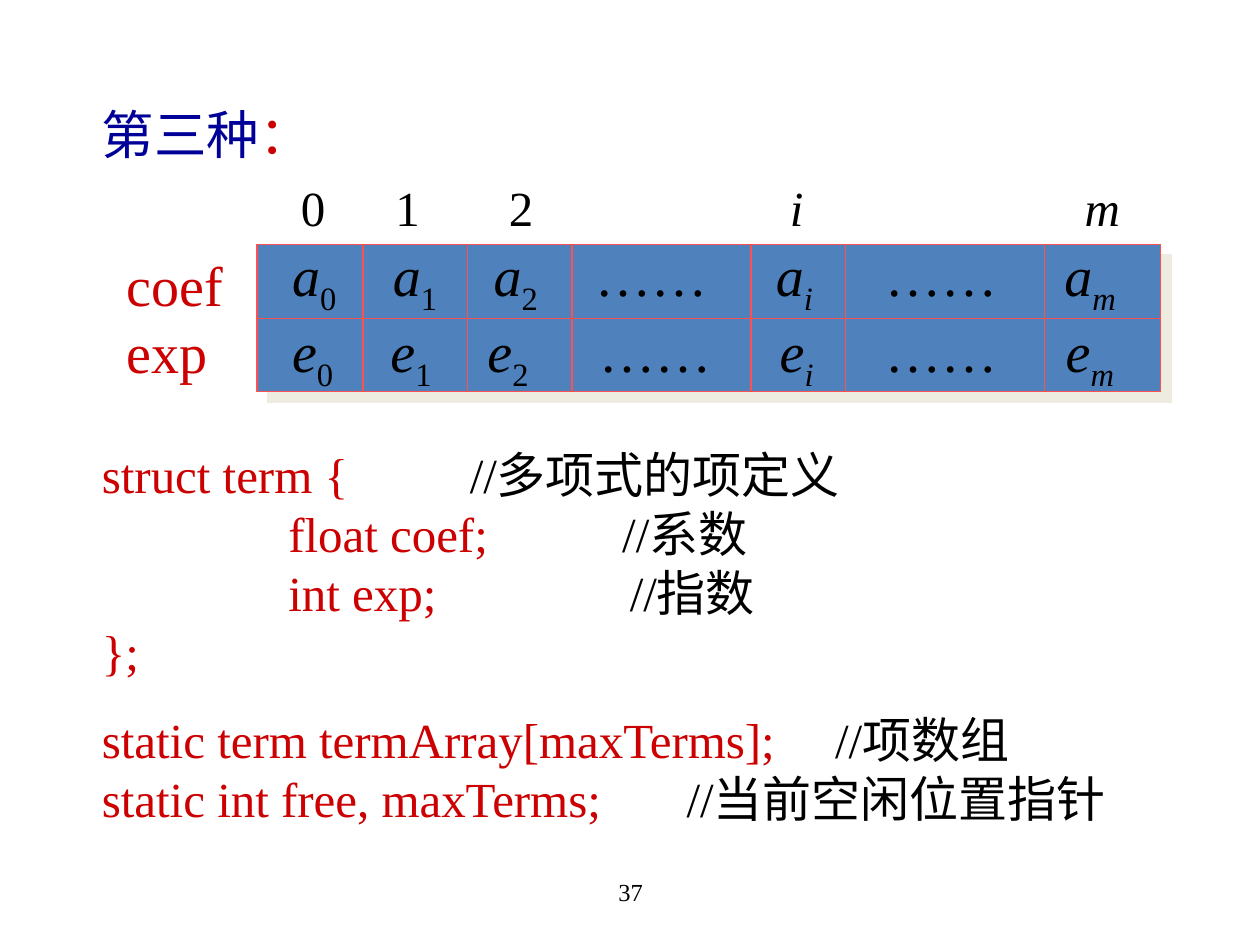
from pptx import Presentation
from pptx.dml.color import RGBColor
from pptx.enum.shapes import MSO_CONNECTOR, MSO_SHAPE
from pptx.enum.text import MSO_ANCHOR, PP_ALIGN
from pptx.oxml.ns import qn
from pptx.util import Inches, Pt
from lxml import etree

LINE = MSO_CONNECTOR.STRAIGHT
RECT = MSO_SHAPE.RECTANGLE
MIDDLE = MSO_ANCHOR.MIDDLE
TOP = MSO_ANCHOR.TOP
LEFT = PP_ALIGN.LEFT
CENTER = PP_ALIGN.CENTER
FONT = "Times New Roman"
COLORS = {"navy": "000099", "red": "CC0000", "black": "000000",
          "blue": "4F81BD", "edge": "FF5050", "shade": "EEECE1"}


def color(name):
    return RGBColor.from_string(COLORS[name])


def add_text(place, rows, size=28, anchor=TOP, align=LEFT):
    box = slide.shapes.add_textbox(*[Inches(v) for v in place])
    frame = box.text_frame
    frame.word_wrap = True
    frame.vertical_anchor = anchor
    for n, (runs, stops, gap) in enumerate(rows):
        para = frame.paragraphs[0] if n == 0 else frame.add_paragraph()
        para.alignment = align
        para.space_before = Pt(gap)
        if stops:
            tabs = etree.SubElement(para._p.get_or_add_pPr(), qn("a:tabLst"))
            for stop in stops:
                etree.SubElement(tabs, qn("a:tab"), pos=str(Inches(stop)), algn="l")
        for words, tone, *style in runs:
            run = para.add_run()
            run.text = words
            font = run.font
            font.name = FONT
            font.size = Pt(30 if "title" in style else size)
            font.color.rgb = color(tone)
            font.italic = "italic" in style
            if "sub" in style:
                font._element.set("baseline", "-25000")


deck = Presentation()
deck.slide_width = Inches(10)
deck.slide_height = Inches(7.5)
slide = deck.slides.add_slide(deck.slide_layouts[6])

add_text((3.42, 6.83, 3.17, 0.5), [([("37", "black")], [], 0)],
         size=14, anchor=MIDDLE, align=CENTER)

code = [
    ("struct term {\t", "//多项式的项定义", [2.92], 160),
    ("\tfloat coef;\t", "//系数", [1.48, 4.13], 0),
    ("\tint exp;\t", "//指数", [1.48, 4.19], 0),
    ("};", "", [], 0),
    ("static term termArray[maxTerms];\t", "//项数组", [5.82], 17),
    ("static int free, maxTerms;\t", "//当前空闲位置指针", [4.64], 0),
]
body = [([("第三种", "navy", "title"), ("：", "red", "title")], [], 0)]
for left, note, stops, gap in code:
    runs = [(left, "red")]
    if note:
        runs.append((note, "black"))
    body.append((runs, stops, gap))
add_text((0.71, 0.76, 8.72, 6.14), body)

x, y, wide, high = 2.04, 1.94, 7.17, 1.17
grid = slide.shapes.add_shape(RECT, Inches(x), Inches(y), Inches(wide), Inches(high))
grid.fill.solid()
grid.fill.fore_color.rgb = color("blue")
grid.line.color.rgb = color("edge")
grid.line.width = Pt(0.75)
grid.shadow.inherit = False
shade = etree.SubElement(grid._element.spPr.find(qn("a:effectLst")), qn("a:outerShdw"),
                         dist=str(Pt(8.5)), dir="2700000", algn="ctr", rotWithShape="0")
etree.SubElement(shade, qn("a:srgbClr"), val=COLORS["shade"])

rules = [(v, y, v, y + high) for v in (2.88, 3.71, 4.54, 5.96, 6.71, 8.29)]
rules.append((x, 2.53, x + wide, 2.53))
for ends in rules:
    rule = slide.shapes.add_connector(LINE, *[Inches(v) for v in ends])
    rule.line.color.rgb = color("edge")
    rule.line.width = Pt(0.75)
    etree.SubElement(rule._element.spPr, qn("a:effectLst"))

cells = []
for base, stops in (("a", [0.8, 1.6, 2.41, 3.84, 4.71, 6.13]),
                    ("e", [0.78, 1.55, 2.44, 3.87, 4.71, 6.14])):
    runs = []
    for mark in ("0", "1", "2", "……", "i", "……", "m"):
        if runs:
            runs.append(("\t", "black"))
        if mark == "……":
            runs.append((mark, "black"))
        else:
            slant = "italic" if mark.isalpha() else "plain"
            runs += [(base, "black", "italic"), (mark, "black", "sub", slant)]
    cells.append((runs, stops, 0))
add_text((2.22, 1.86, 6.84, 1.17), cells, size=32)

add_text((0.91, 1.94, 1.13, 1.17),
         [([(name, "red")], [], 0) for name in ("coef", "exp")], size=32)
add_text((2.29, 1.36, 6.84, 0.57),
         [([("0\t1\t2\t", "black"), ("i\tm", "black", "italic")],
           [0.75, 1.65, 3.88, 6.22], 0)])

deck.save("out.pptx")
